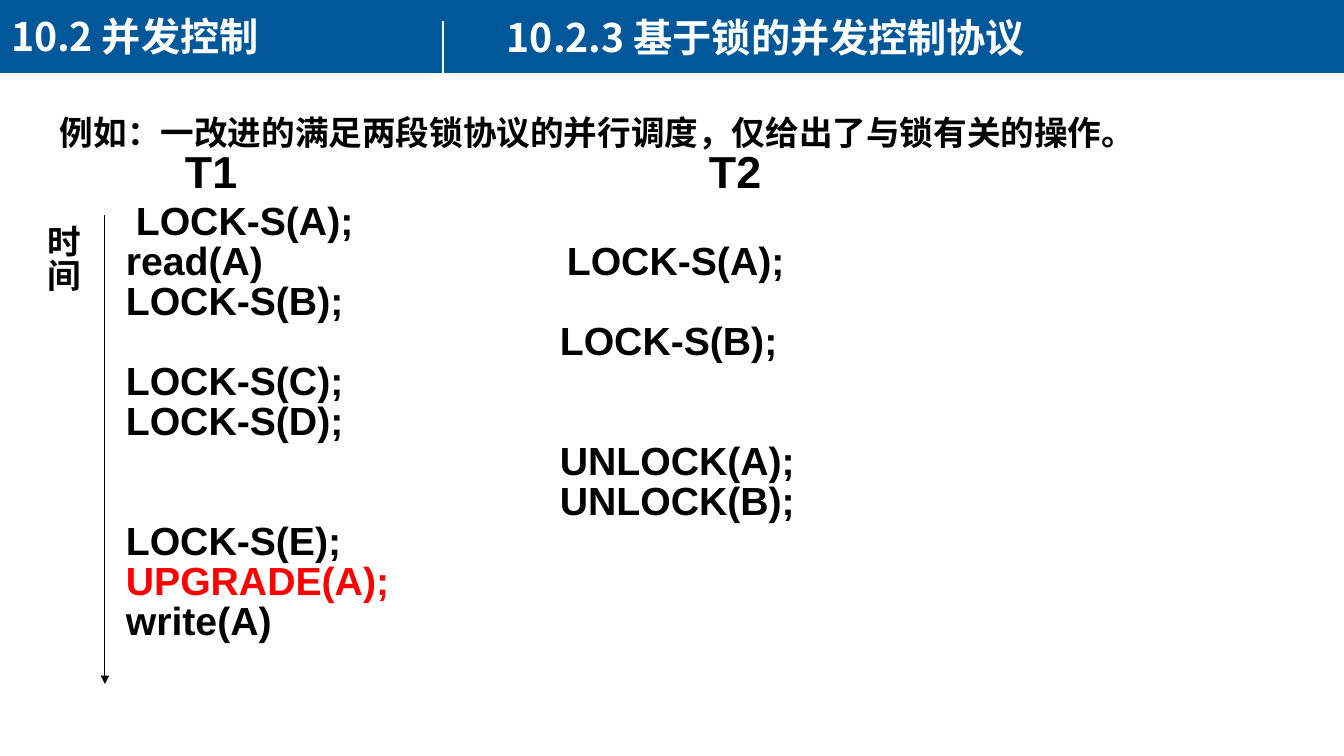
from lxml import etree
from pptx import Presentation
from pptx.dml.color import RGBColor
from pptx.enum.shapes import MSO_CONNECTOR, MSO_SHAPE
from pptx.enum.text import MSO_ANCHOR, MSO_AUTO_SIZE, PP_ALIGN
from pptx.oxml.ns import qn
from pptx.util import Pt

STRAIGHT = MSO_CONNECTOR.STRAIGHT
RECTANGLE = MSO_SHAPE.RECTANGLE
TOP = MSO_ANCHOR.TOP
NO_AUTOFIT = MSO_AUTO_SIZE.NONE
LEFT = PP_ALIGN.LEFT

EMU_PER_PX = 914400 / 100.8
COLORS = {"bar": "00589A", "text": "000000", "light": "FFFFFF", "upgrade": "FF0000"}
HAN, LATIN = "Noto Sans CJK SC", "Arial"

# Column starts, measured from the left edge of the schedule text
COLUMNS = (66, 500)
INTRO = "例如：一改进的满足两段锁协议的并行调度，仅给出了与锁有关的操作。"
# T1 step, T2 step, column starts
SCHEDULE = [
    ("LOCK-S(A);", "", (76, 500)),
    ("read(A)", "LOCK-S(A);", (66, 507)),
    ("LOCK-S(B);", "", COLUMNS),
    ("", "LOCK-S(B);", COLUMNS),
    ("LOCK-S(C);", "", COLUMNS),
    ("LOCK-S(D);", "", COLUMNS),
    ("", "UNLOCK(A);", COLUMNS),
    ("", "UNLOCK(B);", COLUMNS),
    ("LOCK-S(E);", "", COLUMNS),
    ("UPGRADE(A);", "", COLUMNS),
    ("write(A)", "", COLUMNS),
]


def px(length):
    return round(length * EMU_PER_PX)


def rgb(name):
    return RGBColor.from_string(COLORS[name])


def add_box(slide, left, top, width, height):
    return slide.shapes.add_textbox(px(left), px(top), px(width), px(height))


def set_up_frame(shape):
    frame = shape.text_frame
    frame.word_wrap = True
    frame.auto_size = NO_AUTOFIT
    frame.vertical_anchor = TOP
    return frame


def style_paragraph(paragraph, size, font, color="text", spacing=1.0):
    paragraph.alignment = LEFT
    paragraph.line_spacing = spacing
    paragraph.space_before = paragraph.space_after = Pt(0)
    for run in paragraph.runs:
        run.font.size, run.font.bold, run.font.name = Pt(size), True, font
        run.font.color.rgb = rgb(color)
        east_asian = etree.SubElement(run.font._element, qn("a:ea"))
        east_asian.set("typeface", HAN)


def add_row(frame, first, second, tabs, size, color="text"):
    row = frame.add_paragraph()
    row.text = f"\t{first}\t{second}" if second else f"\t{first}"
    stops = etree.SubElement(row._p.get_or_add_pPr(), qn("a:tabLst"))
    for stop in tabs:
        etree.SubElement(stops, qn("a:tab"), pos=str(px(stop)), algn="l")
    style_paragraph(row, size, LATIN, color, 0.85)
    return row


def add_label(shape, text, size, color="text"):
    frame = set_up_frame(shape)
    frame.text = text
    style_paragraph(frame.paragraphs[0], size, HAN, color)
    return frame


def add_line(slide, x, top, bottom, color, width, arrow=False):
    line = slide.shapes.add_connector(STRAIGHT, px(x), px(top), px(x), px(bottom))
    line.line.color.rgb = rgb(color)
    line.line.width = Pt(width)
    if arrow:
        etree.SubElement(line.line._get_or_add_ln(), qn("a:tailEnd"), type="triangle")
    etree.SubElement(line._element.spPr, qn("a:effectLst"))


def add_header_bar(slide):
    bar = slide.shapes.add_shape(RECTANGLE, 0, px(-2), px(1344), px(75))
    bar.shadow.inherit = False
    bar.fill.solid()
    bar.fill.fore_color.rgb = rgb("bar")
    bar.line.fill.background()
    # Behind the title
    slide.shapes._spTree.insert(2, bar._element)


def add_schedule(slide):
    frame = set_up_frame(add_box(slide, 50, 87, 1129, 614))
    intro = frame.paragraphs[0]
    intro.text = INTRO
    style_paragraph(intro, 24, HAN, spacing=1.5)

    add_row(frame, "T1", "T2", (125, 649), 32)
    for first, second, tabs in SCHEDULE:
        color = "upgrade" if first.startswith("UPGRADE") else "text"
        add_row(frame, first, second, tabs, 28, color)
    # Gap between the column heads and the first step
    frame.paragraphs[2].space_before = Pt(4)


def main():
    deck = Presentation()
    deck.slide_width, deck.slide_height = px(1344), px(756)
    slide = deck.slides.add_slide(deck.slide_layouts[5])

    # Header
    add_header_bar(slide)
    title = slide.shapes.title
    title.left, title.top, title.width, title.height = px(1), px(7), px(478), px(57)
    add_label(title, "10.2 并发控制", 28, "light")
    section = add_box(slide, 497, 8, 748, 57)
    add_label(section, "10.2.3 基于锁的并发控制协议", 28, "light")
    add_line(slide, 443, 21, 80, "light", 1.5)

    # Schedule of both transactions
    add_schedule(slide)

    # Time axis
    add_line(slide, 105, 215, 684, "text", 0.75, arrow=True)
    frame = add_label(add_box(slide, 27, 215, 61, 219), "时间", 24)
    frame._txBody.bodyPr.set("vert", "eaVert")

    deck.save("out.pptx")


if __name__ == "__main__":
    main()
